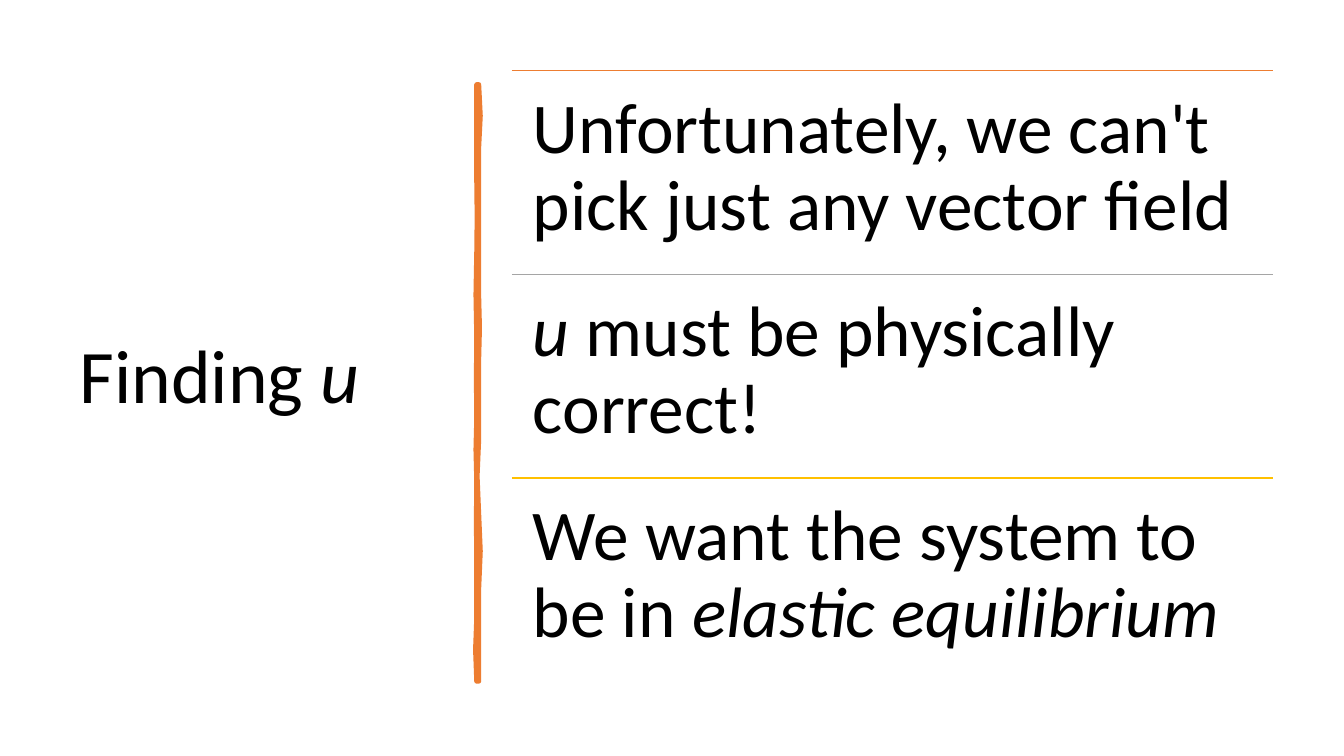
from lxml import etree
from pptx import Presentation
from pptx import util as u
from pptx.dml.color import RGBColor
from pptx.enum import shapes, text
from pptx.oxml.ns import qn

FONT = "Calibri"
BLACK, ORANGE = "000000", "ED7D31"

# Runs are (words, italic)
TITLE = [("Finding ", False), ("u", True)]
POINTS = [
    (ORANGE, [("Unfortunately, we can't pick just any vector field", False)]),
    ("A5A5A5", [("u ", True), ("must be physically correct!", False)]),
    ("FFC000", [("We want the system to be in ", False),
                ("elastic equilibrium", True)]),
]

# Hand-drawn bar outline in hundredths of a centimetre: (y, bulge from edge)
RIGHT_X, LEFT_X = 1207, 1201
RIGHT_EDGE = [(213, 0), (292, 4), (371, 0), (574, 0), (747, 0), (826, 2),
              (904, 0), (1107, 0), (1200, -4), (1295, 0), (1389, 4),
              (1483, 0), (1717, 0)]
LEFT_EDGE = [(1717, 0), (1637, -3), (1557, 0), (1415, 0), (1313, -1),
             (1212, 0), (1133, -2), (1054, 0), (952, -1), (851, 0),
             (743, -2), (635, 0), (547, 1), (460, 0), (213, 0)]

LIST_LEFT, LIST_TOP, LIST_WIDTH, ROW_HEIGHT = 12.9, 1.78, 19.18, 5.13
INSET = 0.53


def color(code):
    return RGBColor.from_string(code)


def write(frame, runs, size):
    frame.word_wrap = True
    para = frame.paragraphs[0]
    para.alignment = text.PP_ALIGN.LEFT
    para.line_spacing = 0.9
    for words, italic in runs:
        span = para.add_run()
        span.text = words
        span.font.name = FONT
        span.font.size = u.Pt(size)
        span.font.italic = italic
        span.font.color.rgb = color(BLACK)


def add_title(page):
    title = page.shapes.title
    title.left, title.top = u.Cm(1.75), u.Cm(1.78)
    title.width, title.height = u.Cm(9.5), u.Cm(15.52)
    title.text_frame.vertical_anchor = text.MSO_ANCHOR.MIDDLE
    write(title.text_frame, TITLE, 54)


def add_bar(page):
    outline = [(RIGHT_X + bulge, y) for y, bulge in RIGHT_EDGE]
    outline += [(LEFT_X + bulge, y) for y, bulge in LEFT_EDGE]
    builder = page.shapes.build_freeform(*outline[0], scale=u.Cm(0.01))
    builder.add_line_segments(outline[1:], close=True)
    bar = builder.convert_to_shape()
    bar.shadow.inherit = False
    bar.fill.solid()
    bar.fill.fore_color.rgb = color(ORANGE)
    bar.line.color.rgb = color(ORANGE)
    bar.line.width = u.Pt(3.25)
    etree.SubElement(bar.line._get_or_add_ln(), qn("a:round"))


def add_point(page, top, rule_color, runs):
    left, right = u.Cm(LIST_LEFT), u.Cm(LIST_LEFT + LIST_WIDTH)
    rule = page.shapes.add_connector(
        shapes.MSO_CONNECTOR.STRAIGHT, left, u.Cm(top), right, u.Cm(top))
    rule.line.color.rgb = color(rule_color)
    rule.line.width = u.Pt(1)
    etree.SubElement(rule._element.spPr, qn("a:effectLst"))

    box = page.shapes.add_textbox(
        left, u.Cm(top), u.Cm(LIST_WIDTH), u.Cm(ROW_HEIGHT))
    frame = box.text_frame
    frame.margin_left = frame.margin_right = u.Cm(INSET)
    frame.margin_top = frame.margin_bottom = u.Cm(INSET)
    frame.vertical_anchor = text.MSO_ANCHOR.TOP
    write(frame, runs, 51)


def main():
    deck = Presentation()
    deck.slide_width, deck.slide_height = u.Cm(33.87), u.Cm(19.05)
    page = deck.slides.add_slide(deck.slide_layouts.get_by_name("Title Only"))
    add_title(page)
    add_bar(page)
    for row, (rule_color, runs) in enumerate(POINTS):
        add_point(page, LIST_TOP + row * ROW_HEIGHT, rule_color, runs)
    deck.save("out.pptx")


if __name__ == "__main__":
    main()
